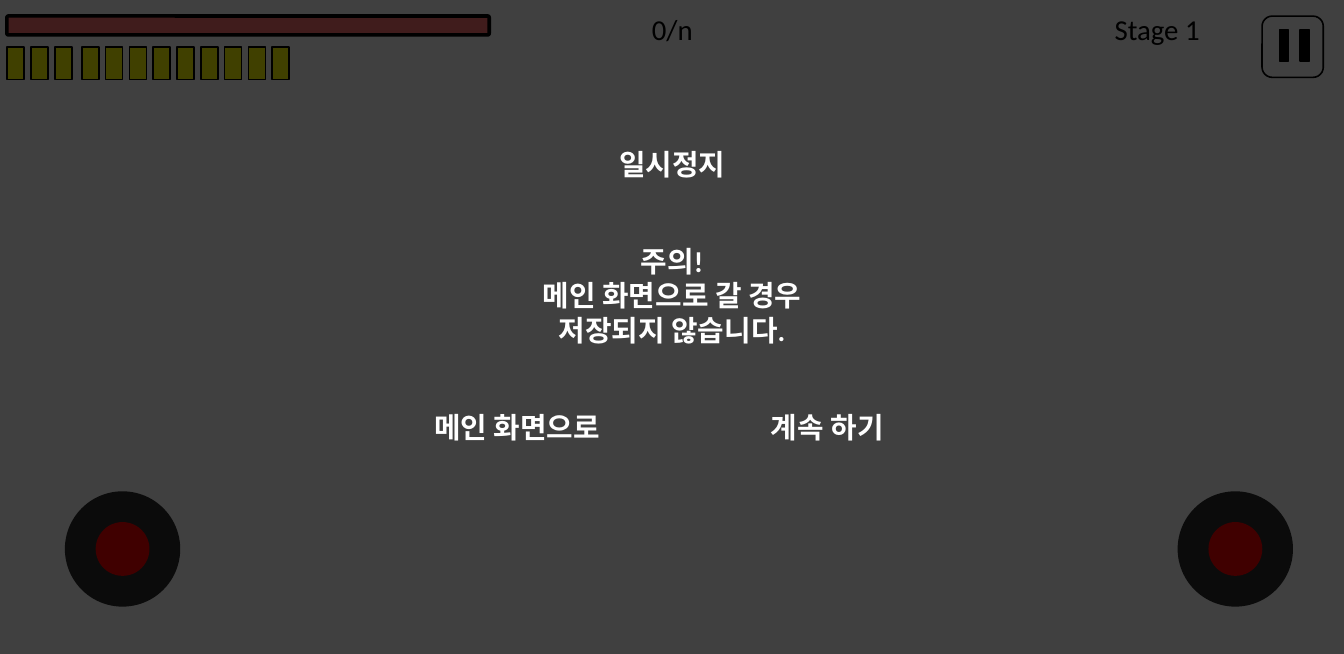
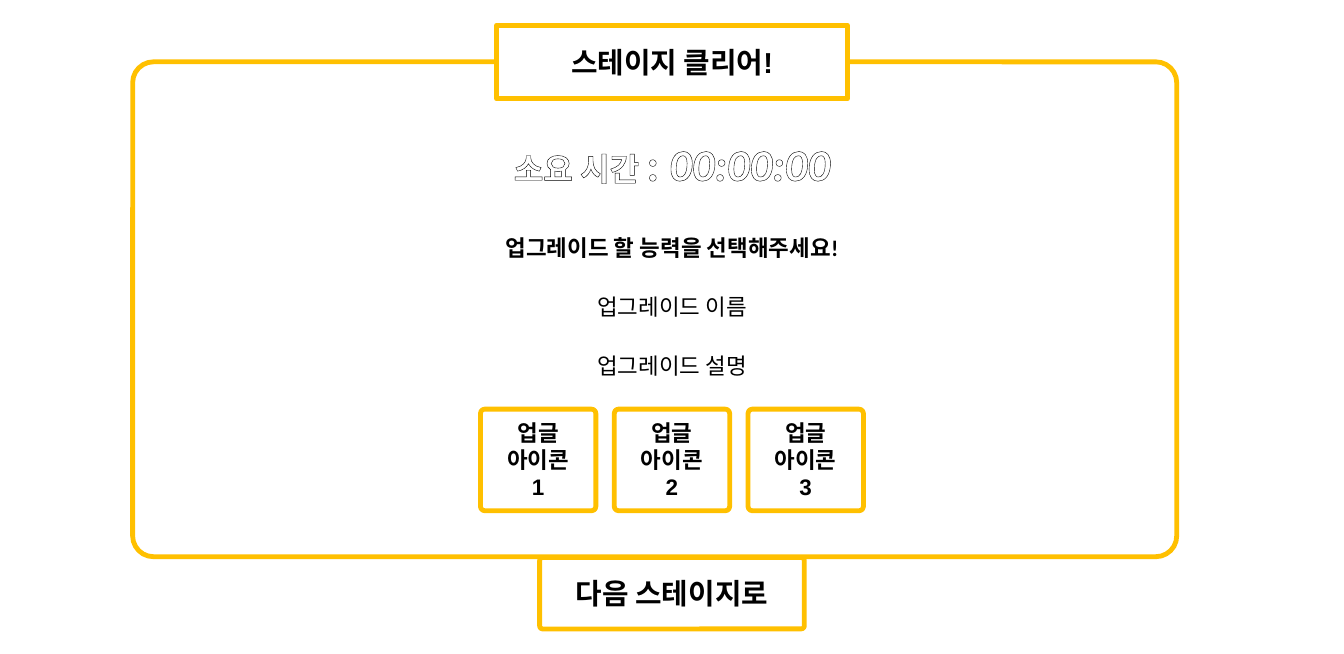
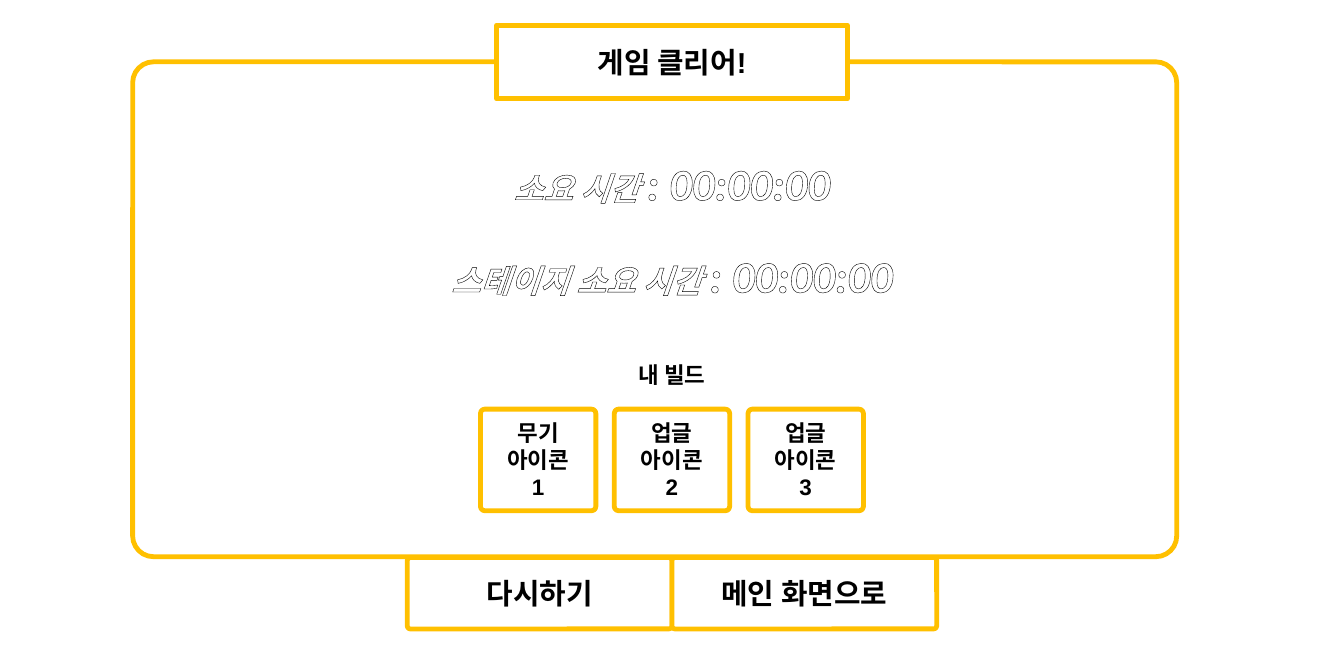
from lxml import etree
from pptx import Presentation
from pptx.dml.color import RGBColor
from pptx.enum.shapes import MSO_SHAPE
from pptx.enum.text import MSO_ANCHOR, MSO_AUTO_SIZE, PP_ALIGN
from pptx.oxml import parse_xml
from pptx.oxml.ns import nsdecls, qn
from pptx.util import Pt

BLACK = RGBColor(0x00, 0x00, 0x00)
WHITE = RGBColor(0xFF, 0xFF, 0xFF)
GOLD = RGBColor(0xFF, 0xC0, 0x00)
HEALTH_RED = RGBColor(0xFF, 0x71, 0x71)
STICK_RED = RGBColor(0xFF, 0x00, 0x00)
AMMO_YELLOW = RGBColor(0xFF, 0xFF, 0x00)

WIDTH, HEIGHT = 838.8, 408.24
CENTER = WIDTH / 2
CORNER = 0.042


def add_box(slide, kind, place, fill, line=None, weight=1, corner=None, opacity=None):
    box = slide.shapes.add_shape(kind, *[Pt(v) for v in place])
    box.shadow.inherit = False
    box.fill.solid()
    box.fill.fore_color.rgb = fill
    if opacity:
        color = box.fill._xPr.find(qn("a:solidFill"))[0]
        etree.SubElement(color, qn("a:alpha"), val=str(opacity * 1000))
    if line is None:
        box.line.fill.background()
    else:
        box.line.color.rgb = line
        box.line.width = Pt(weight)
    if corner:
        box.adjustments[0] = corner
    return box


def write(shape, text, size, font="Calibri", color=BLACK, bold=True):
    frame = shape.text_frame
    frame.word_wrap = True
    frame.auto_size = MSO_AUTO_SIZE.NONE
    frame.text = text
    for paragraph in frame.paragraphs:
        paragraph.alignment = PP_ALIGN.CENTER
        paragraph.font.name = font
        paragraph.font.size = Pt(size)
        paragraph.font.bold = bold
        paragraph.font.color.rgb = color


prs = Presentation()
prs.slide_width, prs.slide_height = Pt(WIDTH), Pt(HEIGHT)
title_only = prs.slide_layouts[5]

# Pause screen: health bar and ammunition
pause = prs.slides.add_slide(title_only)
add_box(pause, MSO_SHAPE.ROUNDED_RECTANGLE, (4.3, 10, 301, 11.8),
        HEALTH_RED, BLACK, 2.25, 0.079)
for start, count, pitch in ((4.3, 3, 15.1), (51.1, 9, 14.85)):
    for i in range(count):
        add_box(pause, MSO_SHAPE.RECTANGLE, (start + i * pitch, 29.5, 10.6, 20.2),
                AMMO_YELLOW, BLACK)

# Pause button
add_box(pause, MSO_SHAPE.ROUNDED_RECTANGLE, (787.7, 10.1, 38.2, 38.2), WHITE, BLACK)
for left in (798.5, 811.5):
    add_box(pause, MSO_SHAPE.RECTANGLE, (left, 18.7, 5.8, 19.4), BLACK, BLACK)

# Joysticks
for left in (40.5, 735):
    add_box(pause, MSO_SHAPE.OVAL, (left, 306.7, 72, 72), BLACK, opacity=82)
    add_box(pause, MSO_SHAPE.OVAL, (left + 19.2, 325.9, 33.6, 33.6), STICK_RED)

# Score and stage
for left, status in ((383.6, "0/n"), (686.2, "Stage 1")):
    status_box = pause.shapes.add_textbox(Pt(left), Pt(3.6), Pt(72), Pt(29))
    write(status_box, status, 18, bold=False)

# Dimming layer, with the title and choices in front of it
add_box(pause, MSO_SHAPE.RECTANGLE, (0, 0, WIDTH, HEIGHT), BLACK, opacity=75)
pause_title = pause.shapes.title
pause_title.left, pause_title.top = Pt(334.6), Pt(87.8)
pause_title.width, pause_title.height = Pt(170), Pt(29)
pause_title.text_frame.vertical_anchor = MSO_ANCHOR.TOP
write(pause_title, "일시정지", 18, color=WHITE)
pause.shapes._spTree.append(pause_title._element)

for left, top, width, height, message in (
    (237.6, 252, 170, 29, "메인 화면으로"),
    (431.3, 252, 170, 29, "계속 하기"),
    (237.6, 148.3, 363.6, 72.7, "주의!\n메인 화면으로 갈 경우\n저장되지 않습니다."),
):
    message_box = pause.shapes.add_textbox(Pt(left), Pt(top), Pt(width), Pt(height))
    write(message_box, message, 18, color=WHITE)

# Clear screens: title, times (label, top, italic), captions (text, top, bold),
# first words of the icons, buttons
clear_screens = (
    ("스테이지 클리어!",
     (("소요 시간 ", 81.4, False),),
     (("업그레이드 할 능력을 선택해주세요!", 142.6, True),
      ("업그레이드 이름", 179.3, False),
      ("업그레이드 설명", 216, False)),
     ("업글", "업글", "업글"),
     ("다음 스테이지로",)),
    ("게임 클리어!",
     (("소요 시간 ", 93.6, True), ("스테이지 소요 시간 ", 151.2, True)),
     (("내 빌드", 221.8, True),),
     ("무기", "업글", "업글"),
     ("다시하기", "메인 화면으로")),
)
BUTTON_WIDTH, ICON_WIDTH, ICON_PITCH = 165.2, 72, 83.5
CAPTION_WIDTH, BADGE_WIDTH = 424, 219

for title, times, captions, icons, buttons in clear_screens:
    screen = prs.slides.add_slide(title_only)
    add_box(screen, MSO_SHAPE.ROUNDED_RECTANGLE, (82.8, 38.6, 651.6, 308.9),
            WHITE, GOLD, 3, CORNER)

    # Title badge over the frame's top edge
    badge = screen.shapes.title
    badge.left, badge.top = Pt(CENTER - BADGE_WIDTH / 2), Pt(15.7)
    badge.width, badge.height = Pt(BADGE_WIDTH), Pt(46)
    badge._element.spPr.append(parse_xml(
        f'<a:prstGeom {nsdecls("a")} prst="roundRect"><a:avLst>'
        f'<a:gd name="adj" fmla="val {CORNER * 100000:.0f}"/></a:avLst></a:prstGeom>'))
    badge.fill.solid()
    badge.fill.fore_color.rgb = WHITE
    badge.line.color.rgb = GOLD
    badge.line.width = Pt(3)
    badge.text_frame.vertical_anchor = MSO_ANCHOR.MIDDLE
    write(badge, title, 18, "Arial")
    screen.shapes._spTree.append(badge._element)

    # Outlined times
    for label, top, italic in times:
        time_box = screen.shapes.add_textbox(
            Pt(CENTER - CAPTION_WIDTH / 2), Pt(top), Pt(CAPTION_WIDTH), Pt(41))
        write(time_box, "", 28, color=WHITE)
        for text, size, slanted in ((label, 20, italic), (": ", 28, italic),
                                    ("00:00:00", 28, True)):
            run = time_box.text_frame.paragraphs[0].add_run()
            run.text = text
            run.font.size = Pt(size)
            run.font.italic = slanted
            run._r.get_or_add_rPr().insert(0, parse_xml(
                f'<a:ln {nsdecls("a")} w="9525"><a:solidFill>'
                f'<a:srgbClr val="{BLACK}"/></a:solidFill></a:ln>'))

    for caption, top, bold in captions:
        caption_box = screen.shapes.add_textbox(
            Pt(CENTER - CAPTION_WIDTH / 2), Pt(top), Pt(CAPTION_WIDTH), Pt(24.5))
        write(caption_box, caption, 14, bold=bold)

    # Icons and buttons, centred in rows
    for i, word in enumerate(icons):
        left = CENTER - ICON_WIDTH / 2 + (i - 1) * ICON_PITCH
        icon = add_box(screen, MSO_SHAPE.ROUNDED_RECTANGLE,
                       (left, 255.4, ICON_WIDTH, 63.4), WHITE, GOLD, 3, CORNER)
        write(icon, f"{word}\n아이콘\n{i + 1}", 14, "Arial")
    for i, action in enumerate(buttons):
        left = CENTER + (i - len(buttons) / 2) * BUTTON_WIDTH
        button = add_box(screen, MSO_SHAPE.ROUNDED_RECTANGLE,
                         (left, 348, BUTTON_WIDTH, 44.6), WHITE, GOLD, 3, CORNER)
        write(button, action, 18, "Arial")

prs.save("out.pptx")
